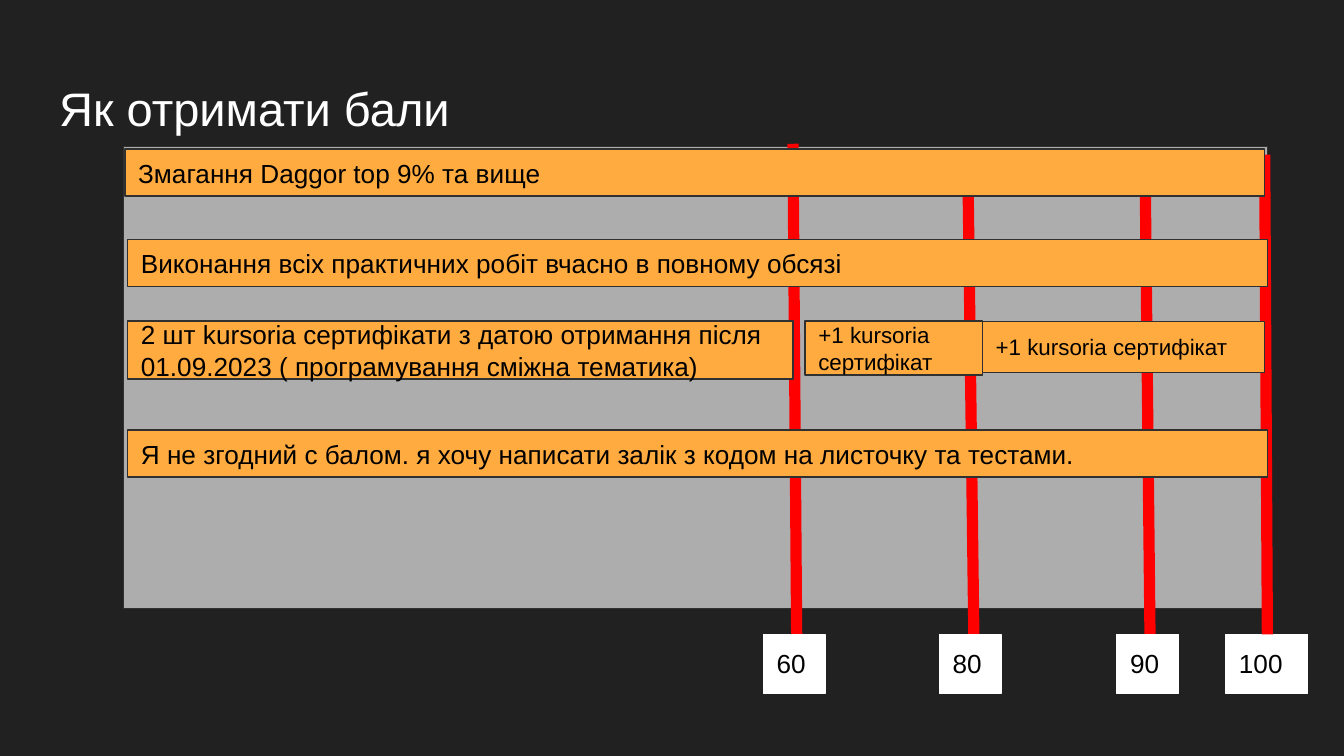
"""Build the slide that shows how course points are earned."""

from dataclasses import dataclass

from lxml.etree import SubElement
from pptx import Presentation
from pptx.dml.color import RGBColor
from pptx.enum.shapes import MSO_CONNECTOR, MSO_SHAPE
from pptx.enum.text import MSO_ANCHOR, MSO_AUTO_SIZE, PP_ALIGN
from pptx.oxml.ns import qn
from pptx.shapes.autoshape import Shape
from pptx.slide import Slide
from pptx.util import Inches, Pt


@dataclass(frozen=True)
class Theme:
    """Colours, font and type sizes of the slide."""

    background: RGBColor = RGBColor(0x21, 0x21, 0x21)
    title: RGBColor = RGBColor(0xFF, 0xFF, 0xFF)
    text: RGBColor = RGBColor(0x00, 0x00, 0x00)
    panel: RGBColor = RGBColor(0xAD, 0xAD, 0xAD)
    bar: RGBColor = RGBColor(0xFF, 0xAB, 0x40)
    outline: RGBColor = RGBColor(0x30, 0x30, 0x30)
    threshold: RGBColor = RGBColor(0xFF, 0x00, 0x00)
    label: RGBColor = RGBColor(0xFF, 0xFF, 0xFF)
    font: str = "Arial"
    title_size: float = 25.2
    body_size: float = 14
    small_size: float = 12
    outline_width: float = 0.75
    threshold_width: float = 6


@dataclass(frozen=True)
class Box:
    """A rectangle in inches."""

    left: float
    top: float
    width: float
    height: float


@dataclass(frozen=True)
class Threshold:
    """A score line and the label below it."""

    score: str
    start: tuple[float, float]
    end: tuple[float, float]
    label_left: float
    label_width: float = 0.46
    line_in_front: bool = False


@dataclass(frozen=True)
class Bar:
    """One way of earning points."""

    text: str
    box: Box
    size: float


THEME = Theme()
LABEL_TOP, LABEL_HEIGHT = 4.72, 0.44
LINE_BOTTOM = 5.04
BAR_LEFT, BAR_WIDTH, BAR_HEIGHT = 0.95, 8.48, 0.35
CERTIFICATE_TOP = 2.39
PANEL = Box(0.92, 1.09, 8.51, 3.44)
TITLE = Box(0.34, 0.49, 9.32, 0.63)

THRESHOLDS = (
    Threshold("60", (5.9, 1.07), (5.93, LINE_BOTTOM), 5.68),
    Threshold("80", (7.2, 1.13), (7.25, LINE_BOTTOM), 6.99),
    Threshold("90", (8.52, 1.2), (8.56, LINE_BOTTOM), 8.31),
    Threshold("100", (9.41, 1.15), (9.43, LABEL_TOP), 9.12, 0.61, True),
)

BARS = (
    Bar("Змагання Daggor top 9% та вище",
        Box(0.93, 1.11, BAR_WIDTH, BAR_HEIGHT), THEME.body_size),
    Bar("Виконання всіх практичних робіт вчасно в повному обсязі",
        Box(BAR_LEFT, 1.78, BAR_WIDTH, BAR_HEIGHT), THEME.body_size),
    Bar("2 шт kursoria сертифікати з датою отримання після 01.09.2023 ( програмування сміжна тематика)",
        Box(BAR_LEFT, CERTIFICATE_TOP, 4.95, 0.43), THEME.body_size),
    Bar("+1 kursoria сертифікат",
        Box(7.31, CERTIFICATE_TOP, 2.1, 0.38), THEME.small_size),
    Bar("Я не згодний с балом. я хочу написати залік з кодом на листочку та тестами.",
        Box(BAR_LEFT, 3.2, BAR_WIDTH, BAR_HEIGHT), THEME.body_size),
    Bar("+1 kursoria сертифікат",
        Box(5.99, CERTIFICATE_TOP, 1.32, 0.4), THEME.small_size),
)


def write_text(shape: Shape, text: str, size: float, color: RGBColor, anchor: MSO_ANCHOR) -> None:
    """Write one left-aligned run into a shape."""
    frame = shape.text_frame
    frame.word_wrap = True
    frame.vertical_anchor = anchor
    frame.margin_left = frame.margin_right = Inches(0.1)
    frame.margin_top = frame.margin_bottom = Inches(0.1)
    paragraph = frame.paragraphs[0]
    paragraph.alignment = PP_ALIGN.LEFT
    run = paragraph.add_run()
    run.text = text
    run.font.name = THEME.font
    run.font.size = Pt(size)
    run.font.color.rgb = color


def draw_title(slide: Slide, text: str) -> None:
    """Place and fill the title placeholder."""
    title = slide.shapes.title
    title.left, title.top = Inches(TITLE.left), Inches(TITLE.top)
    title.width, title.height = Inches(TITLE.width), Inches(TITLE.height)
    write_text(title, text, THEME.title_size, THEME.title, MSO_ANCHOR.TOP)


def draw_rectangle(slide: Slide, box: Box, fill: RGBColor, outline: RGBColor) -> Shape:
    """Draw a filled and outlined rectangle."""
    shape = slide.shapes.add_shape(
        MSO_SHAPE.RECTANGLE, Inches(box.left), Inches(box.top), Inches(box.width), Inches(box.height))
    shape.shadow.inherit = False
    shape.fill.solid()
    shape.fill.fore_color.rgb = fill
    shape.line.color.rgb = outline
    shape.line.width = Pt(THEME.outline_width)
    return shape


def draw_score_line(slide: Slide, threshold: Threshold) -> None:
    """Draw the line of a threshold."""
    points = [Inches(value) for value in threshold.start + threshold.end]
    connector = slide.shapes.add_connector(MSO_CONNECTOR.STRAIGHT, *points)
    connector.line.color.rgb = THEME.threshold
    connector.line.width = Pt(THEME.threshold_width)
    SubElement(connector._element.spPr, qn("a:effectLst"))


def draw_score_label(slide: Slide, threshold: Threshold) -> None:
    """Draw the label of a threshold."""
    box = Box(threshold.label_left, LABEL_TOP, threshold.label_width, LABEL_HEIGHT)
    label = draw_rectangle(slide, box, THEME.label, THEME.label)
    write_text(label, threshold.score, THEME.body_size, THEME.text, MSO_ANCHOR.TOP)
    label.text_frame.auto_size = MSO_AUTO_SIZE.SHAPE_TO_FIT_TEXT


def draw_threshold(slide: Slide, threshold: Threshold) -> None:
    """Draw a score line and its label in stacking order."""
    steps = [draw_score_line, draw_score_label]
    for draw in reversed(steps) if threshold.line_in_front else steps:
        draw(slide, threshold)


def draw_bar(slide: Slide, bar: Bar) -> None:
    """Draw a bar with its text."""
    shape = draw_rectangle(slide, bar.box, THEME.bar, THEME.outline)
    write_text(shape, bar.text, bar.size, THEME.text, MSO_ANCHOR.MIDDLE)


def main() -> None:
    """Build and save the presentation."""
    presentation = Presentation()
    presentation.slide_width = Inches(10)
    presentation.slide_height = Inches(10) * 9 // 16
    slide = presentation.slides.add_slide(presentation.slide_layouts.get_by_name("Title Only"))
    slide.background.fill.solid()
    slide.background.fill.fore_color.rgb = THEME.background
    draw_title(slide, "Як отримати бали")
    draw_rectangle(slide, PANEL, THEME.panel, THEME.outline)
    for threshold in THRESHOLDS:
        draw_threshold(slide, threshold)
    for bar in BARS:
        draw_bar(slide, bar)
    presentation.save("out.pptx")


if __name__ == "__main__":
    main()
